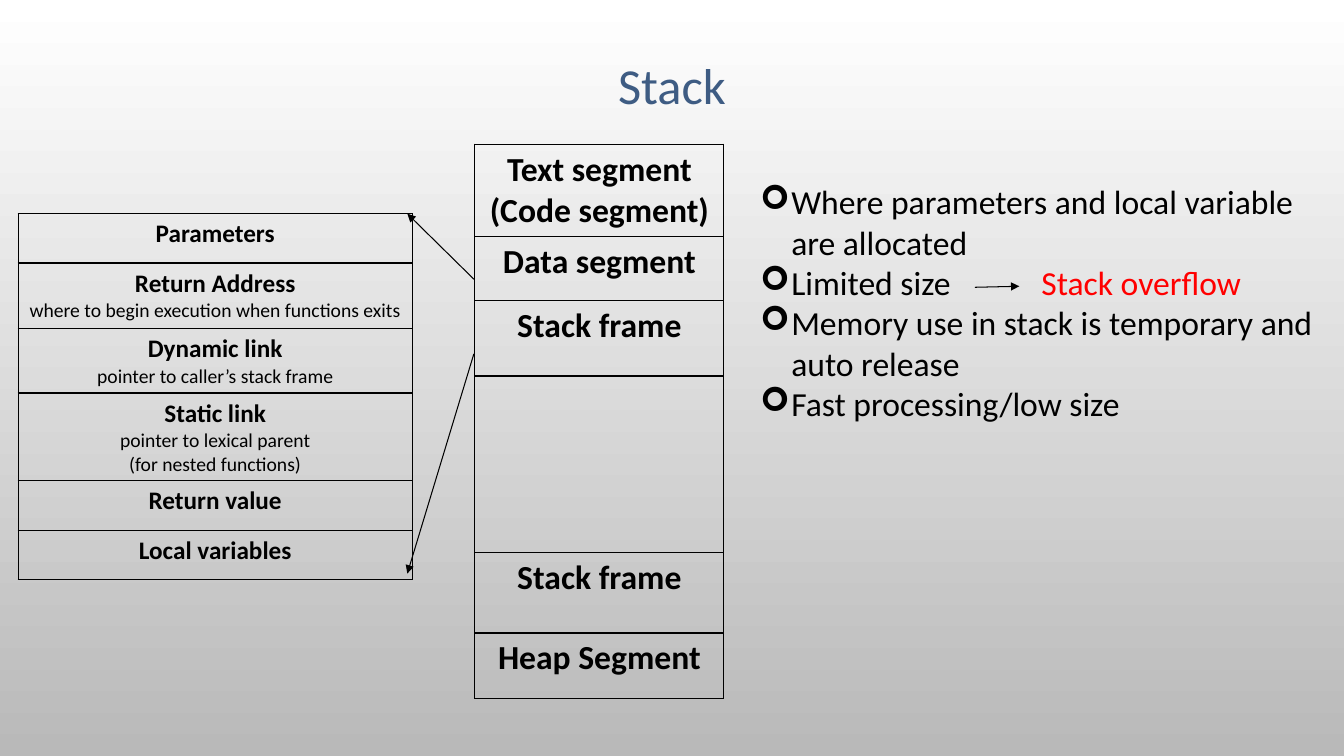
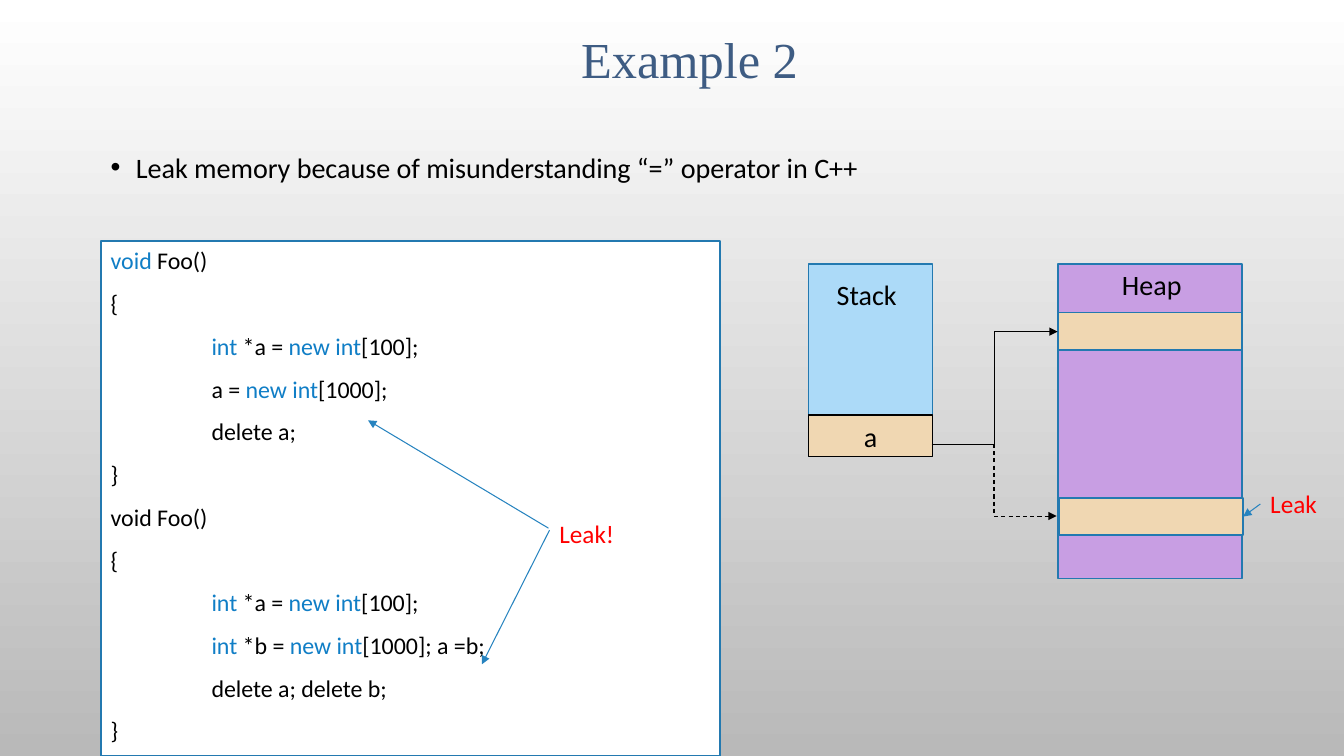
from lxml import etree
from pptx import Presentation
from pptx.dml.color import RGBColor
from pptx.enum.dml import MSO_LINE
from pptx.enum.shapes import MSO_CONNECTOR, MSO_SHAPE
from pptx.enum.text import MSO_ANCHOR, PP_ALIGN
from pptx.oxml.ns import qn
from pptx.util import Inches, Pt

CENTER, LEFT = PP_ALIGN.CENTER, PP_ALIGN.LEFT
TOP, MIDDLE = MSO_ANCHOR.TOP, MSO_ANCHOR.MIDDLE
RECTANGLE = MSO_SHAPE.RECTANGLE
STRAIGHT, ELBOW = MSO_CONNECTOR.STRAIGHT, MSO_CONNECTOR.ELBOW
DASH = MSO_LINE.DASH
RIGHT_SIDE = 3


class Theme:
    font, title_font = "Calibri", "Times New Roman"
    bullet_fonts = {"➢": "Wingdings", "•": "Arial"}
    black = RGBColor.from_string("000000")
    white = RGBColor.from_string("FFFFFF")
    gray = RGBColor.from_string("B9B9B9")
    title = RGBColor.from_string("3E5C83")
    red = RGBColor.from_string("FF0000")
    keyword = RGBColor.from_string("107EC6")
    outline = RGBColor.from_string("2379B0")
    arrow = RGBColor.from_string("2683BF")
    stack = RGBColor.from_string("ACDAF8")
    heap = RGBColor.from_string("C89EE3")
    block = RGBColor.from_string("F0D7B2")
    title_size, large, lead, medium = Pt(36), Pt(24), Pt(20.1), Pt(20)
    body, code, small = Pt(18), Pt(17.1), Pt(14)
    thin, outline_width = Pt(0.75), Pt(1.25)


def write(frame, lines, size, color=Theme.black, font=Theme.font, bold=False,
          left=0, hanging=0, bullet=None, **para_format):
    """Append paragraphs to a frame; text between backticks gets the keyword colour."""
    frame.word_wrap = True
    for line in lines:
        para = frame.add_paragraph() if frame.text else frame.paragraphs[0]
        for name, value in para_format.items():
            setattr(para, name, value)
        properties = para._p.get_or_add_pPr()
        properties.set("marL", str(Inches(left)))
        properties.set("indent", str(-Inches(hanging)))
        if bullet:
            etree.SubElement(properties, qn("a:buFont"), typeface=Theme.bullet_fonts[bullet])
            etree.SubElement(properties, qn("a:buChar"), char=bullet)
        for index, text in enumerate(line.split("`")):
            if text:
                span = para.add_run()
                span.text = text
                look = {"size": size, "name": font, "bold": bold}
                for name, value in look.items():
                    setattr(span.font, name, value)
                span.font.color.rgb = Theme.keyword if index % 2 else color


def add_arrow(page, start, end, color=Theme.black, kind=STRAIGHT, dash=None, bend=None):
    ends = [Inches(length) for length in (*start, *end)]
    arrow = page.shapes.add_connector(kind, *ends)
    arrow.line.color.rgb = color
    arrow.line.width = Theme.thin
    if dash:
        arrow.line.dash_style = dash
    properties = arrow.element.spPr
    etree.SubElement(properties.find(qn("a:ln")), qn("a:tailEnd"), type="triangle")
    etree.SubElement(properties, qn("a:effectLst"))
    if bend:
        adjustments = properties.find(qn("a:prstGeom")).find(qn("a:avLst"))
        etree.SubElement(adjustments, qn("a:gd"), name="adj1", fmla=f"val {bend}")
    return arrow


deck = Presentation()
deck.slide_width, deck.slide_height = Inches(13.33), Inches(7.5)

# Shared background and title
pages = []
for title, font, place in (
    ("Stack", Theme.font, (1, 0, 11.33, 1.75)),
    ("Example 2", Theme.title_font, (1.13, 0, 11.42, 1.24)),
):
    page = deck.slides.add_slide(deck.slide_layouts[6])
    background = page.background.fill
    background.gradient()
    background.gradient_angle = 270
    for stop, color in zip(background.gradient_stops, (Theme.white, Theme.gray)):
        stop.color.rgb = color
    box = page.shapes.add_textbox(*map(Inches, place))
    box.text_frame.vertical_anchor = MIDDLE
    write(box.text_frame, [title], Theme.title_size, Theme.title, font,
          alignment=CENTER, line_spacing=0.9)
    pages.append(page)
stack_page, example_page = pages

# Stack: each row is height, headings, details
frame_rows = [
    (0.49, ["Parameters"], []),
    (0.65, ["Return Address"], ["where to begin execution when functions exits"]),
    (0.64, ["Dynamic link"], ["pointer to caller’s stack frame"]),
    (0.87, ["Static link"], ["pointer to lexical parent", "(for nested functions)"]),
    (0.49, ["Return value"], []),
    (0.49, ["Local variables"], []),
]
memory_rows = [
    (0.92, ["Text segment", "(Code segment)"], []),
    (0.63, ["Data segment"], []),
    (0.75, ["Stack frame"], []),
    (1.75, [], []),
    (0.8, ["Stack frame"], []),
    (0.65, ["Heap Segment"], []),
]
for rows, left, top, width, size in (
    (frame_rows, 0.18, 2.12, 3.91, Theme.body),
    (memory_rows, 4.71, 1.43, 2.47, Theme.large),
):
    height = sum(row[0] for row in rows)
    table = stack_page.shapes.add_table(
        len(rows), 1, *map(Inches, (left, top, width, height))).table
    table.first_row = table.horz_banding = False
    for index, (row_height, headings, details) in enumerate(rows):
        table.rows[index].height = Inches(row_height)
        cell = table.cell(index, 0)
        write(cell.text_frame, headings, size, bold=True, alignment=CENTER)
        write(cell.text_frame, details, Theme.small, alignment=CENTER)
        properties = cell._tc.get_or_add_tcPr()
        for side in ("a:lnL", "a:lnR", "a:lnT", "a:lnB"):
            border = etree.SubElement(properties, qn(side), w=str(Pt(1)))
            fill = etree.SubElement(border, qn("a:solidFill"))
            etree.SubElement(fill, qn("a:srgbClr"), val=str(Theme.black))
        cell.fill.background()

for start, end in (
    ((4.7, 2.77), (4.04, 2.12)),
    ((4.7, 3.51), (4.04, 5.69)),
    ((9.67, 2.85), (10.11, 2.84)),
):
    add_arrow(stack_page, start, end)

box = stack_page.shapes.add_textbox(*map(Inches, (7.44, 1.75, 5.7, 2.83)))
write(box.text_frame, [
    "Where parameters and local variable are allocated",
    "Limited size",
    "Memory use in stack is temporary and auto release",
    "Fast processing/low size",
], Theme.large, left=0.31, hanging=0.31, bullet="➢")

# Example 2: filled rectangles of the code panel and the memory diagram
shapes = {}
for key, place, fill, outline in (
    ("code", (1, 2.39, 6.14, 5.11), Theme.white, Theme.outline),
    ("stack", (8.02, 2.62, 1.23, 1.91), Theme.stack, Theme.outline),
    ("variable", (8.02, 4.12, 1.23, 0.41), Theme.block, Theme.black),
    ("heap", (10.49, 2.62, 1.83, 3.12), Theme.heap, Theme.outline),
    ("first block", (10.49, 3.1, 1.83, 0.37), Theme.block, Theme.outline),
    ("second block", (10.5, 4.94, 1.83, 0.37), Theme.block, Theme.outline),
):
    shape = example_page.shapes.add_shape(RECTANGLE, *map(Inches, place))
    shape.shadow.inherit = False
    shape.fill.solid()
    shape.fill.fore_color.rgb = fill
    shape.line.color.rgb = outline
    shape.line.width = Theme.outline_width
    shapes[key] = shape

write(shapes["variable"].text_frame, ["a"], Theme.medium, alignment=CENTER)

box = example_page.shapes.add_textbox(*map(Inches, (1, 1.44, 11.33, 0.6)))
write(box.text_frame, ["Leak memory because of misunderstanding “=” operator in C++"],
      Theme.lead, left=0.25, hanging=0.25, bullet="•")

code_frame = shapes["code"].text_frame
code_frame.vertical_anchor = TOP
for indent, line in (
    (0, "`void` Foo()"),
    (0, "{"),
    (1, "`int` *a = `new int`[100];"),
    (1, "a = `new int`[1000];"),
    (1, "delete a;"),
    (0, "}"),
    (0, "void Foo()"),
    (0, "{"),
    (1, "`int` *a = `new int`[100];"),
    (1, "`int` *b = `new int`[1000]; a =b;"),
    (1, "delete a; delete b;"),
    (0, "}"),
):
    write(code_frame, [line], Theme.code, left=indent,
          alignment=LEFT, space_before=Pt(10))

# Single labels on both slides
for page, text, place, size, color in (
    (stack_page, "Stack overflow", (10.23, 2.55, 2.4, 0.5), Theme.large, Theme.red),
    (example_page, "Leak!", (5.45, 5.09, 1.06, 0.4), Theme.body, Theme.red),
    (example_page, "Leak", (12.5, 4.8, 0.7, 0.4), Theme.body, Theme.red),
    (example_page, "Stack", (8.2, 2.7, 0.87, 0.44), Theme.medium, Theme.black),
    (example_page, "Heap", (11.03, 2.6, 1.13, 0.44), Theme.medium, Theme.black),
):
    box = page.shapes.add_textbox(*map(Inches, place))
    write(box.text_frame, [text], size, color)

add_arrow(example_page, (5.44, 5.24), (3.65, 4.17), Theme.arrow)
add_arrow(example_page, (5.45, 5.26), (4.78, 6.59), Theme.arrow)
leak_arrow = add_arrow(example_page, (12.5, 5), (12.33, 5.12), Theme.arrow)
leak_arrow.end_connect(shapes["second block"], RIGHT_SIDE)
add_arrow(example_page, (9.24, 4.41), (10.49, 3.29), kind=ELBOW)
add_arrow(example_page, (9.71, 4.41), (10.48, 5.12), kind=ELBOW, dash=DASH, bend=19400)

deck.save("out.pptx")
